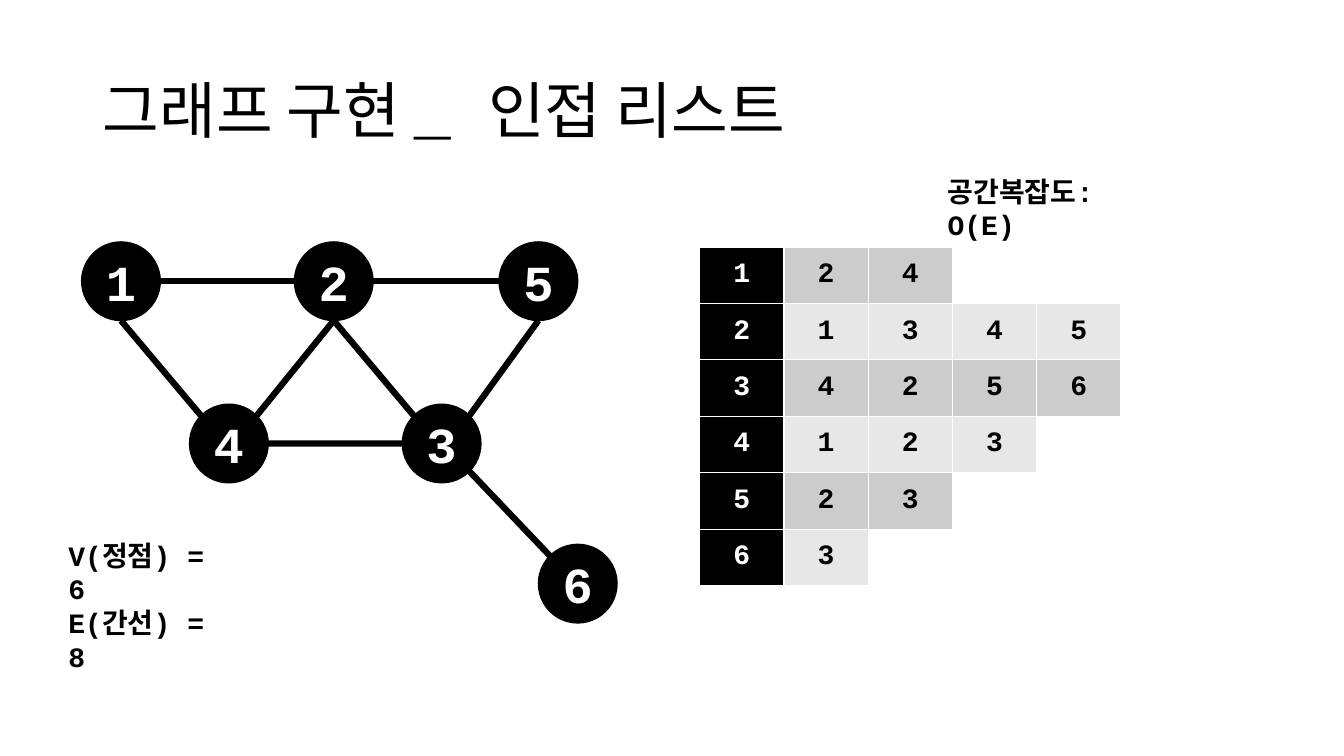
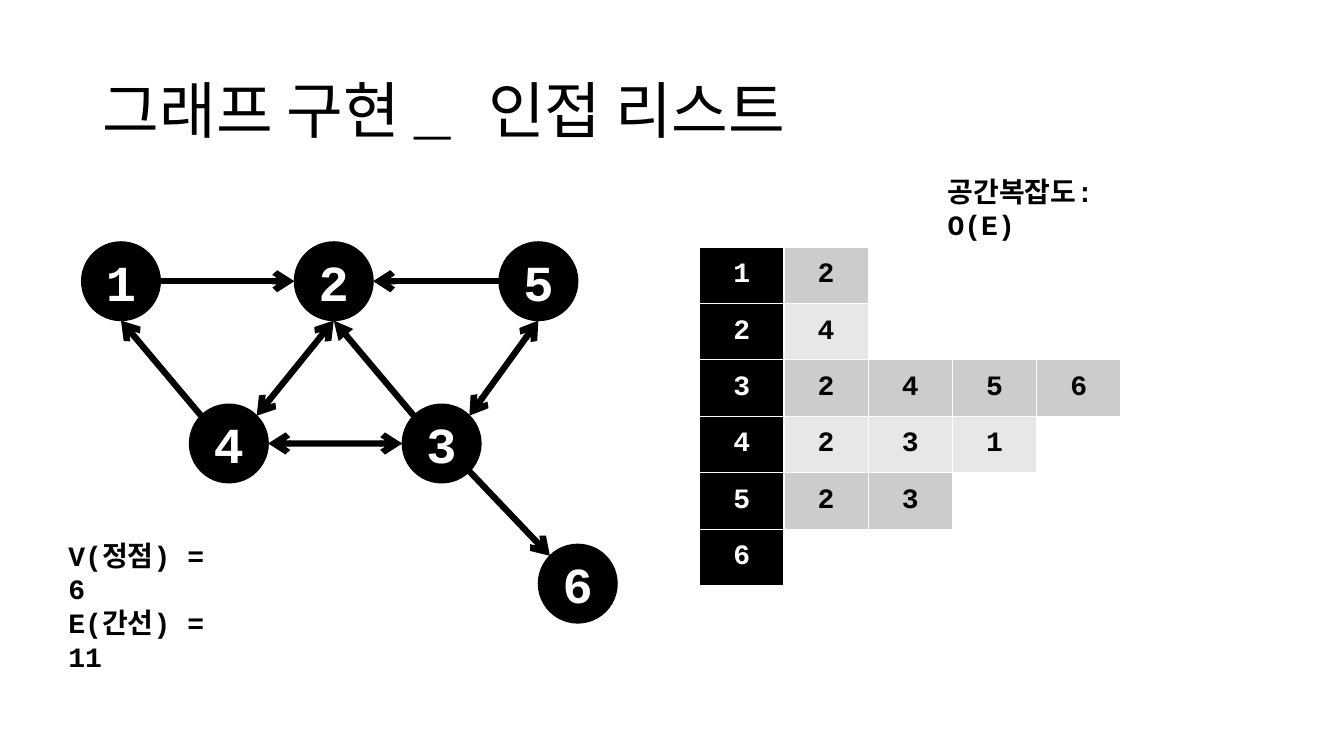
import math
from dataclasses import dataclass

from lxml import etree
from pptx import Presentation
from pptx.dml.color import RGBColor
from pptx.enum.shapes import MSO_CONNECTOR, MSO_SHAPE
from pptx.enum.text import MSO_ANCHOR, MSO_AUTO_SIZE, PP_ALIGN
from pptx.oxml.ns import qn
from pptx.util import Inches, Pt

STRAIGHT, OVAL = MSO_CONNECTOR.STRAIGHT, MSO_SHAPE.OVAL
TOP, MIDDLE = MSO_ANCHOR.TOP, MSO_ANCHOR.MIDDLE
LEFT, CENTER = PP_ALIGN.LEFT, PP_ALIGN.CENTER
GROW = MSO_AUTO_SIZE.SHAPE_TO_FIT_TEXT


@dataclass(frozen=True)
class Theme:
    font: str = "Courier New"
    black: str = "000000"
    white: str = "FFFFFF"
    bands: tuple = ("CCCCCC", "E7E7E7")
    title_size: float = 44
    node_size: float = 36
    body_size: float = 20
    outline: float = 1
    edge_width: float = 4.5


THEME = Theme()

TITLE = "그래프 구현 _ 인접 리스트"
COMPLEXITY = "공간복잡도: O(E)"
NODES = {1: (0.81, 2.4), 2: (2.92, 2.4), 4: (1.88, 4.01),
         3: (3.99, 4.01), 5: (4.95, 2.4), 6: (5.34, 5.4)}
DIAMETER = 0.78
EAST, SOUTH_EAST, SOUTH, SOUTH_WEST, WEST, NORTH_WEST, _, NORTH_EAST = range(0, 360, 45)
EDGES = [
    (1, EAST, 2, WEST),
    (1, SOUTH, 4, NORTH_WEST),
    (4, NORTH_EAST, 2, SOUTH),
    (5, WEST, 2, EAST),
    (3, NORTH_WEST, 2, SOUTH),
    (3, NORTH_EAST, 5, SOUTH),
    (3, SOUTH_EAST, 6, NORTH_WEST),
    (3, WEST, 4, EAST),
]
GRAPHS = [
    {"counts": ["V(정점) = 6", "E(간선) = 8"], "counts_width": 1.71,
     "neighbours": {1: [2, 4], 2: [1, 3, 4, 5], 3: [4, 2, 5, 6],
                    4: [1, 2, 3], 5: [2, 3], 6: [3]},
     "arrows": [(None, None)] * len(EDGES)},
    {"counts": ["V(정점) = 6", "E(간선) = 11"], "counts_width": 1.84,
     "neighbours": {1: [2], 2: [4], 3: [2, 4, 5, 6],
                    4: [2, 3, 1], 5: [2, 3], 6: []},
     "arrows": [(None, "arrow"), ("arrow", None), ("arrow", "arrow"),
                (None, "arrow"), (None, "triangle"), ("arrow", "arrow"),
                (None, "arrow"), ("arrow", "arrow")]},
]
LIST_COLUMNS = 7
LIST_BOX = (6.94, 2.45, 5.85, 3.36)


def rgb(color):
    return RGBColor.from_string(color)


def write(frame, lines, size=THEME.body_size, color=THEME.black, bold=True,
          align=LEFT, spacing=None):
    for index, line in enumerate(lines):
        paragraph = frame.add_paragraph() if index else frame.paragraphs[0]
        paragraph.alignment = align
        if spacing:
            paragraph.line_spacing = spacing
        run = paragraph.add_run()
        run.text = line
        run.font.name = THEME.font
        run.font.size = Pt(size)
        run.font.bold = bold
        run.font.color.rgb = rgb(color)


def add_label(slide, box, lines, anchor=TOP, grow=True, **text_format):
    frame = slide.shapes.add_textbox(*map(Inches, box)).text_frame
    frame.word_wrap = True
    frame.vertical_anchor = anchor
    if grow:
        frame.auto_size = GROW
    write(frame, lines, **text_format)


def add_node(slide, number, corner):
    node = slide.shapes.add_shape(
        OVAL, *map(Inches, (*corner, DIAMETER, DIAMETER)))
    node.shadow.inherit = False
    node.fill.solid()
    node.fill.fore_color.rgb = rgb(THEME.black)
    node.line.color.rgb = rgb(THEME.black)
    node.line.width = Pt(THEME.outline)
    node.text_frame.vertical_anchor = MIDDLE
    write(node.text_frame, [str(number)], size=THEME.node_size,
          color=THEME.white, align=CENTER)


def rim(number, degrees):
    left, top = NODES[number]
    radius, angle = DIAMETER / 2, math.radians(degrees)
    return (Inches(left + radius * (1 + math.cos(angle))),
            Inches(top + radius * (1 + math.sin(angle))))


def add_edge(slide, edge, arrows):
    start, start_side, end, end_side = edge
    link = slide.shapes.add_connector(
        STRAIGHT, *rim(start, start_side), *rim(end, end_side))
    link.line.color.rgb = rgb(THEME.black)
    link.line.width = Pt(THEME.edge_width)
    properties = link._element.spPr
    outline = properties.find(qn("a:ln"))
    for tag, arrow in zip(("a:headEnd", "a:tailEnd"), arrows):
        if arrow:
            etree.SubElement(outline, qn(tag), type=arrow)
    etree.SubElement(properties, qn("a:effectLst"))


def fill_cell(cell, text, fill, color):
    properties = cell._tc.get_or_add_tcPr()
    for tag in ("a:lnL", "a:lnR", "a:lnT", "a:lnB"):
        border = etree.SubElement(properties, qn(tag), w=str(Pt(THEME.outline)))
        paint = etree.SubElement(border, qn("a:solidFill"))
        etree.SubElement(paint, qn("a:srgbClr"), val=THEME.white)
    cell.fill.solid()
    cell.fill.fore_color.rgb = rgb(fill)
    if text:
        cell.vertical_anchor = MIDDLE
        write(cell.text_frame, [text], color=color, align=CENTER)


def add_adjacency_list(slide, neighbours):
    table = slide.shapes.add_table(
        len(neighbours), LIST_COLUMNS, *map(Inches, LIST_BOX)).table
    table.first_row = table.horz_banding = False
    for row, (vertex, linked) in enumerate(neighbours.items()):
        values = [vertex, *linked]
        for column in range(LIST_COLUMNS):
            text, fill, color = "", THEME.white, THEME.black
            if column < len(values):
                text, fill = str(values[column]), THEME.bands[row % 2]
            if column == 0:
                fill, color = THEME.black, THEME.white
            fill_cell(table.cell(row, column), text, fill, color)


def build_slide(deck, graph):
    slide = deck.slides.add_slide(deck.slide_layouts[6])
    add_label(slide, (0.92, 0.4, 11.5, 1.45), [TITLE], anchor=MIDDLE, grow=False,
              size=THEME.title_size, bold=False, spacing=0.9)
    for number, corner in NODES.items():
        add_node(slide, number, corner)
    for edge, arrows in zip(EDGES, graph["arrows"]):
        add_edge(slide, edge, arrows)
    add_label(slide, (0.58, 5.29, graph["counts_width"], 0.77), graph["counts"])
    add_adjacency_list(slide, graph["neighbours"])
    add_label(slide, (9.3, 1.68, 2.34, 0.44), [COMPLEXITY])


deck = Presentation()
deck.slide_width, deck.slide_height = Inches(13.33), Inches(7.5)
for graph in GRAPHS:
    build_slide(deck, graph)
deck.save("out.pptx")
